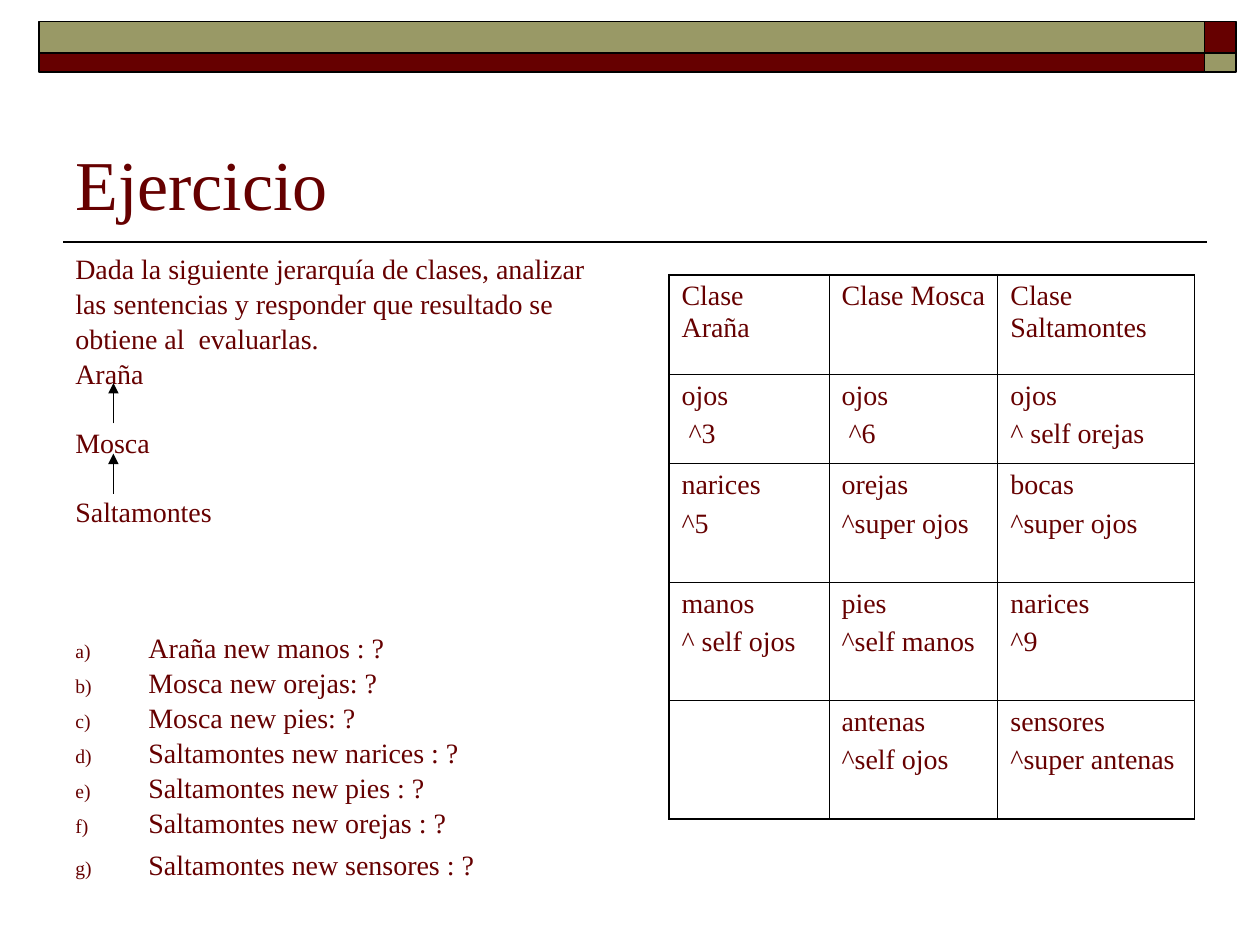
from lxml.etree import SubElement
from pptx import Presentation
from pptx.dml.color import RGBColor
from pptx.enum.shapes import MSO_CONNECTOR, MSO_SHAPE
from pptx.enum.text import MSO_ANCHOR, PP_ALIGN
from pptx.oxml.ns import qn
from pptx.util import Inches, Pt

COLORS = {"wine": "660000", "olive": "999966", "ink": "000000"}
FONT = "Times New Roman"
GRID_COLUMNS, GRID_ROWS = 100, 75
UNIT = Inches(10) // GRID_COLUMNS
LINE_PITCH = 19.34
LINE_GAP = 4.6

INTRODUCTION = [
    "Dada la siguiente jerarquía de clases, analizar",
    "las sentencias y responder que resultado se",
    "obtiene al  evaluarlas.",
    "Araña",
]
SUBCLASSES = ["Mosca", "Saltamontes"]
QUESTIONS = [
    "Araña new manos : ?",
    "Mosca new orejas: ?",
    "Mosca new pies: ?",
    "Saltamontes new narices : ?",
    "Saltamontes new pies : ?",
    "Saltamontes new orejas : ?",
    "Saltamontes new sensores : ?",
]
METHODS = [
    [["Clase Araña"], ["Clase Mosca"], ["Clase Saltamontes"]],
    [["ojos", " ^3"], ["ojos", " ^6"], ["ojos", "^ self orejas"]],
    [["narices", "^5"], ["orejas", "^super ojos"], ["bocas", "^super ojos"]],
    [["manos", "^ self ojos"], ["pies", "^self manos"], ["narices", "^9"]],
    [[], ["antenas", "^self ojos"], ["sensores", "^super antenas"]],
]


def grid(*counts):
    """Turn counts of grid columns or rows into lengths."""
    return [round(count * UNIT) for count in counts]


def color(name):
    return RGBColor.from_string(COLORS[name])


def write(paragraph, text, size=16, name="wine", before=0, spacing=None):
    paragraph.alignment = PP_ALIGN.LEFT
    paragraph.space_before = Pt(before)
    if spacing:
        paragraph.line_spacing = spacing
    run = paragraph.add_run()
    run.text = text
    run.font.size = Pt(size)
    run.font.name = FONT
    run.font.color.rgb = color(name)


def paragraphs(text_frame, count):
    """Give a list of count paragraphs, starting with the one already there."""
    return [text_frame.paragraphs[0]] + [
        text_frame.add_paragraph() for _ in range(count - 1)
    ]


def add_line(slide, start, end, width, arrow=False):
    connector = slide.shapes.add_connector(
        MSO_CONNECTOR.STRAIGHT, *grid(*start, *end)
    )
    connector.line.color.rgb = color("ink")
    connector.line.width = Pt(width)
    properties = connector._element.spPr
    if arrow:
        SubElement(properties.find(qn("a:ln")), qn("a:tailEnd"), type="triangle")
    SubElement(properties, qn("a:effectLst"))


def add_banner(slide, left, top, width, height):
    """Draw two stacked bars whose colours swap in the right-hand corner."""
    corner, upper = 2.5, 2.5
    columns = [(left, width - corner), (left + width - corner, corner)]
    rows = [(top, upper), (top + upper, height - upper)]
    for row, (y, tall) in enumerate(rows):
        for column, (x, wide) in enumerate(columns):
            bar = slide.shapes.add_shape(
                MSO_SHAPE.RECTANGLE, *grid(x, y, wide, tall)
            )
            bar.shadow.inherit = False
            bar.fill.solid()
            bar.fill.fore_color.rgb = color("olive" if row == column else "wine")
            bar.line.color.rgb = color("ink")
            bar.line.width = Pt(1)


def add_title(slide, left, top, width, height):
    title = slide.shapes.title
    title.left, title.top, title.width, title.height = grid(left, top, width, height)
    title.text_frame.vertical_anchor = MSO_ANCHOR.BOTTOM
    write(title.text_frame.paragraphs[0], "Ejercicio", size=40)
    rule = top + height + 0.9
    add_line(slide, (left, rule), (left + width + 0.8, rule), 1)


def number_with_letters(paragraph):
    properties = paragraph._p.get_or_add_pPr()
    indent = Inches(0.58)
    properties.set("marL", str(indent))
    properties.set("indent", str(-indent))
    bullet_color = SubElement(properties, qn("a:buClr"))
    SubElement(bullet_color, qn("a:srgbClr"), val=COLORS["wine"])
    SubElement(properties, qn("a:buSzPct"), val="70000")
    SubElement(properties, qn("a:buFont"), typeface=FONT)
    SubElement(properties, qn("a:buAutoNum"), type="alphaLcParenR")


def add_exercise(slide, left, top, width, height):
    """Place the statement, the class hierarchy and the lettered questions."""
    text_frame = slide.shapes.add_textbox(*grid(left, top, width, height)).text_frame
    text_frame.word_wrap = True
    lines = INTRODUCTION + SUBCLASSES + QUESTIONS
    first_question = len(lines) - len(QUESTIONS)
    gaps = [LINE_GAP] * len(lines)
    for index in range(len(INTRODUCTION), first_question):
        gaps[index] += LINE_PITCH
    gaps[first_question] += 3 * LINE_PITCH
    gaps[-1] += 4
    for index, paragraph in enumerate(paragraphs(text_frame, len(lines))):
        write(paragraph, lines[index], before=gaps[index], spacing=0.8)
        if index >= first_question:
            number_with_letters(paragraph)
    for step in range(len(SUBCLASSES)):
        tip = top + 10.4 + 5.6 * step
        add_line(slide, (left + 4, tip + 3.2), (left + 4, tip), 0.75, arrow=True)


def set_borders(cell, outer_sides):
    properties = cell._tc.get_or_add_tcPr()
    for position, side in enumerate("LRTB"):
        width = Pt(1.08 if side in outer_sides else 0.45)
        border = SubElement(properties, qn(f"a:ln{side}"), w=str(width))
        fill = SubElement(border, qn("a:solidFill"))
        SubElement(fill, qn("a:srgbClr"), val=COLORS["ink"])
        properties.insert(position, border)


def add_method_table(slide, left, top, column_widths, row_heights):
    last_row, last_column = len(row_heights) - 1, len(column_widths) - 1
    box = grid(left, top, sum(column_widths), sum(row_heights))
    table = slide.shapes.add_table(last_row + 1, last_column + 1, *box).table
    table.first_row = table.horz_banding = False
    for column, width in zip(table.columns, grid(*column_widths)):
        column.width = width
    for row, height in zip(table.rows, grid(*row_heights)):
        row.height = height
    for row, methods in enumerate(METHODS):
        for column, lines in enumerate(methods):
            cell = table.cell(row, column)
            cell.fill.background()
            edges = {"T": row == 0, "B": row == last_row,
                     "L": column == 0, "R": column == last_column}
            set_borders(cell, [side for side, outer in edges.items() if outer])
            for paragraph, line in zip(paragraphs(cell.text_frame, len(lines)), lines):
                write(paragraph, line, before=4)


def main():
    presentation = Presentation()
    presentation.slide_width = GRID_COLUMNS * UNIT
    presentation.slide_height = GRID_ROWS * UNIT
    slide = presentation.slides.add_slide(presentation.slide_layouts[5])
    add_banner(slide, 3.1, 1.7, 95, 4)
    add_title(slide, 5, 5.8, 90, 12.5)
    add_exercise(slide, 5, 20, 45, 50.6)
    add_method_table(slide, 53.1, 21.8, [12.7, 13.4, 15.6], [7.9, 7.1, 9.4, 9.4, 9.4])
    presentation.save("out.pptx")


if __name__ == "__main__":
    main()
